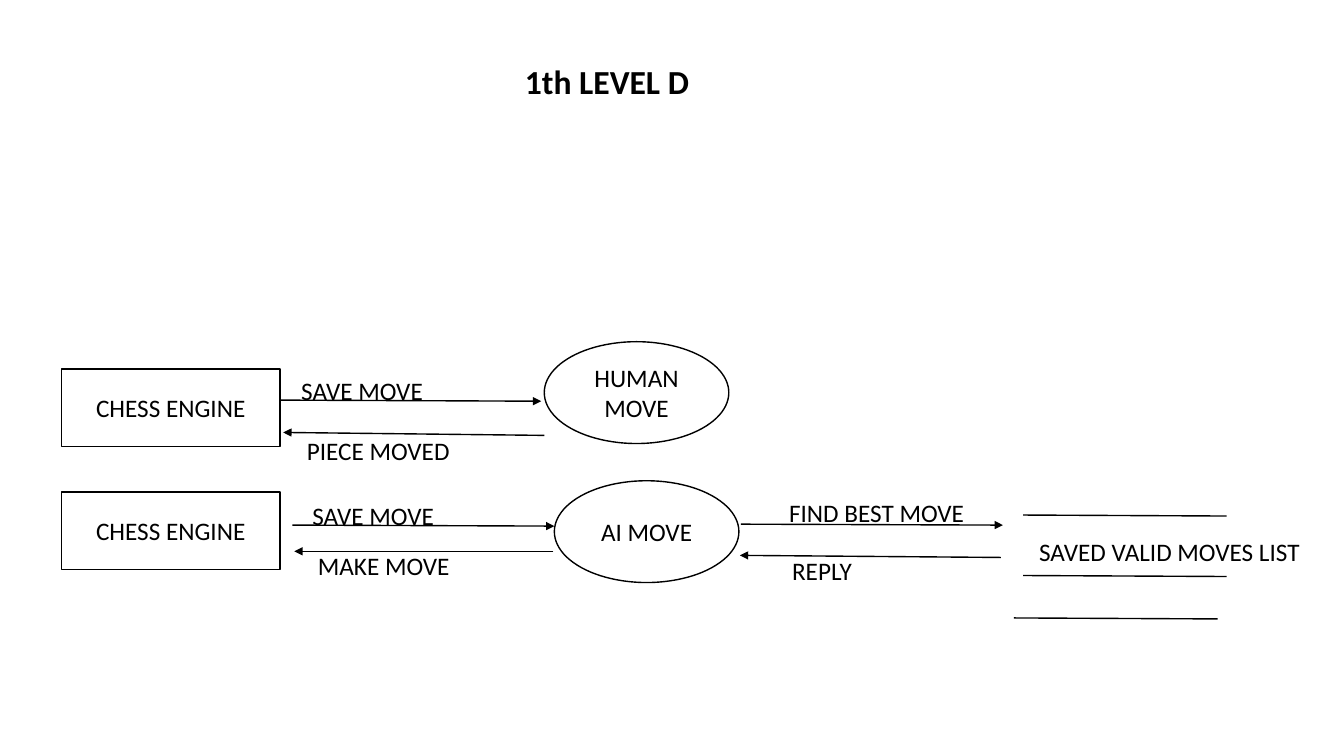
from lxml import etree
from pptx import Presentation, util as u
from pptx.dml import color
from pptx.enum import shapes, text
from pptx.oxml import ns

COLORS = {"ink": "000000", "paper": "FFFFFF"}


class Diagram:
    """Draws the parts of a data flow diagram on one slide, in points."""

    def __init__(self, s, font="Calibri", size=18, weight=1):
        self.s, self.font, self.size, self.weight = s, font, size, weight

    def rgb(self, name):
        return color.RGBColor.from_string(COLORS[name])

    def set_text(self, sp, words, align, anchor, **extra):
        tf = sp.text_frame
        tf.word_wrap = True
        tf.vertical_anchor = anchor
        p = tf.paragraphs[0]
        p.alignment = align
        r = p.add_run()
        r.text = words
        fmt = {"name": self.font, "size": u.Pt(self.size), **extra}
        for key, value in fmt.items():
            setattr(r.font, key, value)
        r.font.color.rgb = self.rgb("ink")

    def stroke(self, sp):
        sp.line.color.rgb = self.rgb("ink")
        sp.line.width = u.Pt(self.weight)

    def node(self, kind, words, x, y, w, h):
        sp = self.s.shapes.add_shape(kind, u.Pt(x), u.Pt(y), u.Pt(w), u.Pt(h))
        sp.shadow.inherit = False
        sp.fill.solid()
        sp.fill.fore_color.rgb = self.rgb("paper")
        self.stroke(sp)
        self.set_text(sp, words, text.PP_ALIGN.CENTER, text.MSO_ANCHOR.MIDDLE)

    def entity(self, words, x, y):
        self.node(shapes.MSO_SHAPE.RECTANGLE, words, x, y, 156.2, 55.4)

    def process(self, words, x, y):
        self.node(shapes.MSO_SHAPE.OVAL, words, x, y, 131.8, 72.7)

    def label(self, words, x, y, h=29, **extra):
        sp = self.s.shapes.add_textbox(u.Pt(x), u.Pt(y), u.Pt(216), u.Pt(h))
        self.set_text(sp, words, text.PP_ALIGN.LEFT, text.MSO_ANCHOR.TOP, **extra)

    def line(self, x1, y1, x2, y2, arrow=False):
        sp = self.s.shapes.add_connector(
            shapes.MSO_CONNECTOR.STRAIGHT, u.Pt(x1), u.Pt(y1), u.Pt(x2), u.Pt(y2))
        self.stroke(sp)
        spPr = sp._element.spPr
        if arrow:
            ln = spPr.find(ns.qn("a:ln"))
            etree.SubElement(ln, ns.qn("a:tailEnd"), type="triangle")
        etree.SubElement(spPr, ns.qn("a:effectLst"))


def main():
    prs = Presentation()
    prs.slide_width, prs.slide_height = u.Pt(960), u.Pt(540)
    d = Diagram(prs.slides.add_slide(prs.slide_layouts[6]))

    d.label("1th LEVEL D", 367.9, 40.3, 36, size=u.Pt(24), bold=True)

    for y in (263.5, 351.4):
        d.entity("CHESS ENGINE", 43.9, y)
    d.process("HUMAN MOVE", 388.8, 244.1)
    d.process("AI MOVE", 396, 343.4)

    flows = [
        ("SAVE MOVE", 208.1, 264.2, (199.4, 285.8, 386.6, 286.6)),
        ("PIECE MOVED", 212.1, 307.4, (388.8, 311, 202.3, 308.9)),
        ("SAVE MOVE", 216, 353.5, (208.8, 375.1, 396, 375.8)),
        ("MAKE MOVE", 220, 389.5, (395.3, 393.8, 210.2, 393.8)),
        ("FIND BEST MOVE", 556.6, 351.4, (529.2, 374.4, 716.4, 375.1)),
        ("REPLY", 558.7, 393.1, (715, 398.2, 528.5, 396.7)),
    ]
    for words, x, y, ends in flows:
        d.line(*ends, arrow=True)
        d.label(words, x, y)

    for x, y in ((730.8, 367.9), (730.8, 411.1), (724.3, 441.4)):
        d.line(x, y, x + 145.4, y + 0.7)
    d.label("SAVED VALID MOVES LIST", 735.1, 379.4)

    prs.save("out.pptx")


if __name__ == "__main__":
    main()
